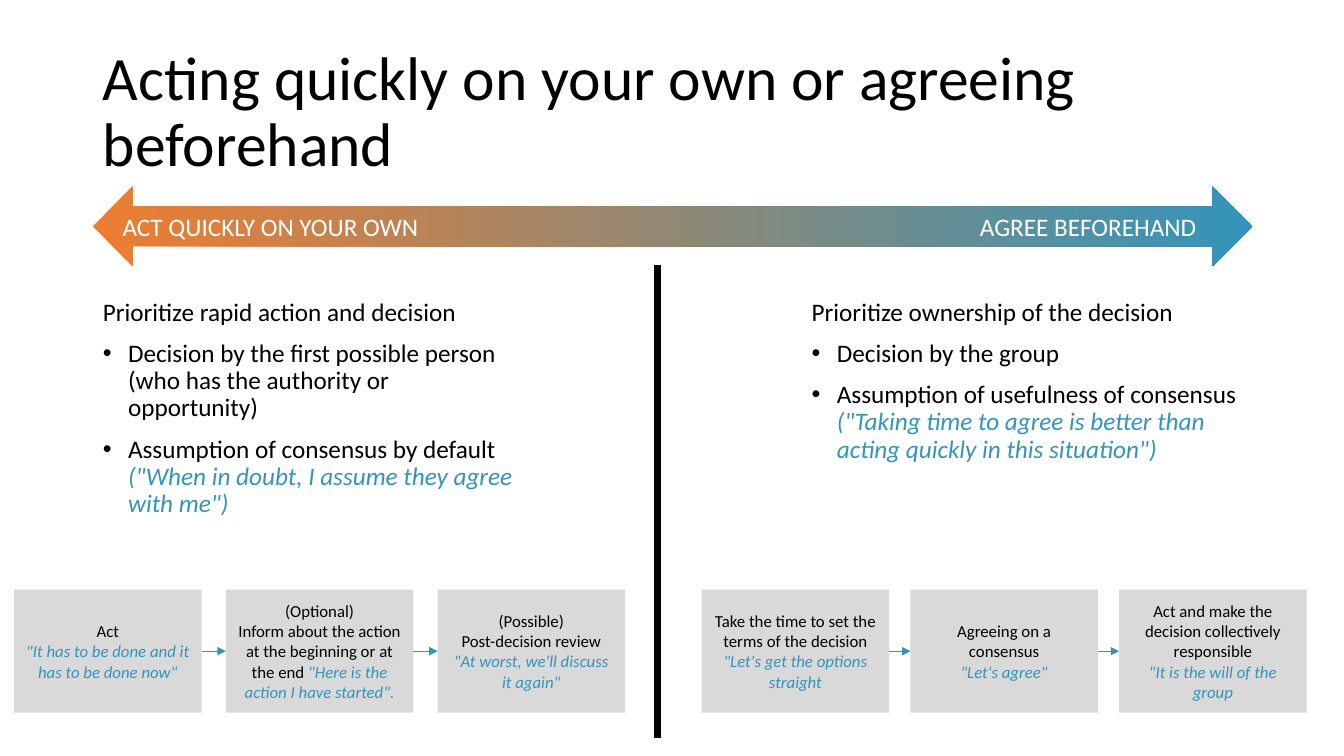
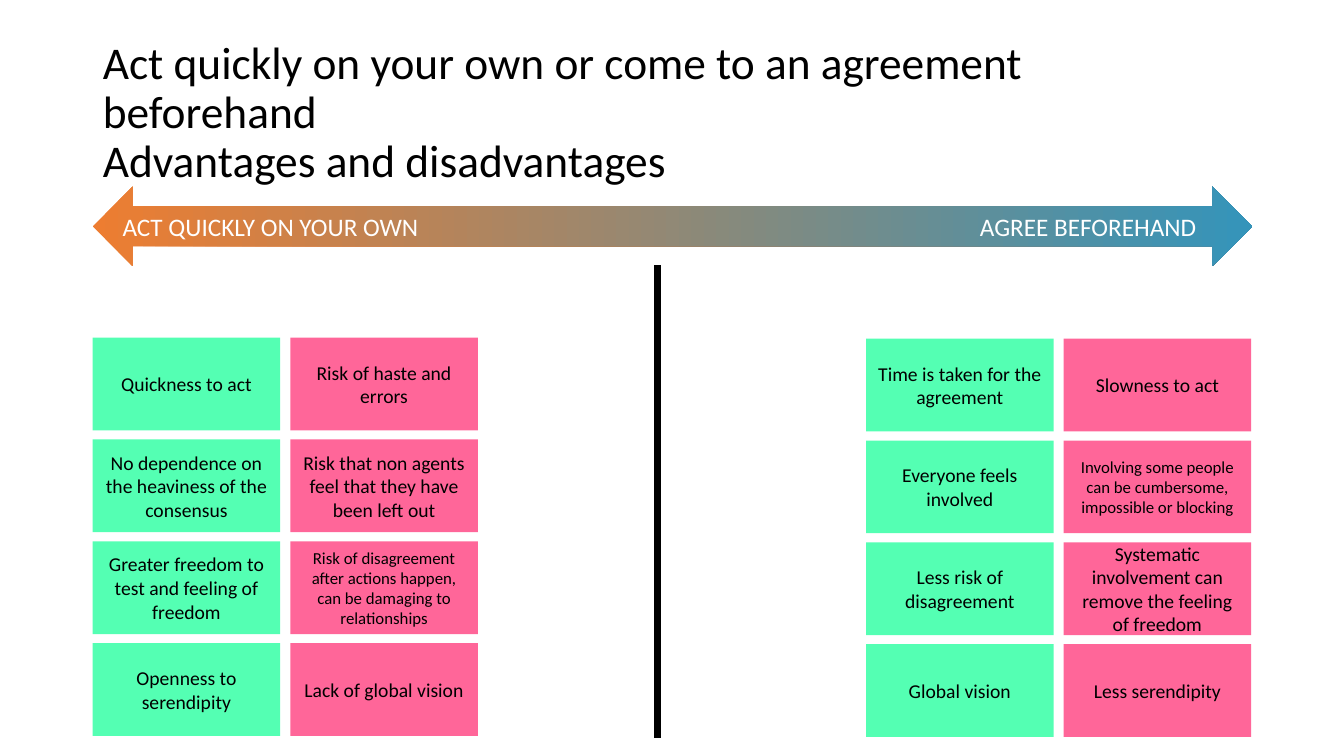
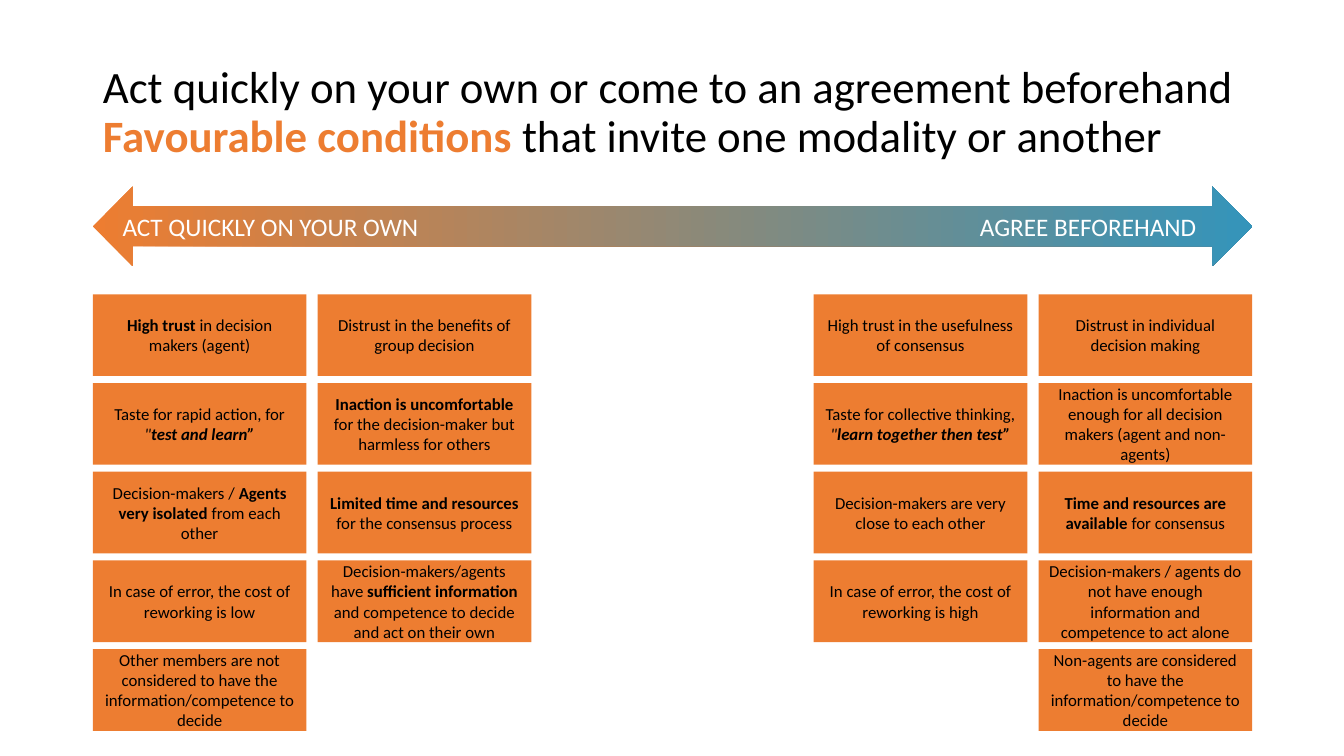
from dataclasses import dataclass
from typing import NamedTuple

from lxml import etree
from pptx import Presentation
from pptx.dml.color import RGBColor
from pptx.enum import shapes as kinds, text as txt
from pptx.oxml.ns import qn
from pptx.util import Inches, Pt

# ---- Shared look ----
FONT = "Calibri"
COLORS = {
    "black": "000000", "white": "FFFFFF", "orange": "ED7D31", "blue": "3494BA",
    "grey": "D9D9D9", "green": "54FFB3", "pink": "FF6699",
}
LOOKS = {
    "plain": {},
    "bold": {"bold": True},
    "italic": {"italic": True},
    "strong quote": {"bold": True, "italic": True},
    "quote": {"italic": True, "color": "blue"},
    "highlight": {"bold": True, "color": "orange"},
}
FRAME = {"word_wrap": True, "auto_size": txt.MSO_AUTO_SIZE.NONE}
MIDDLE = FRAME | {"vertical_anchor": txt.MSO_ANCHOR.MIDDLE}
CENTERED = {"alignment": txt.PP_ALIGN.CENTER}
TITLE_FORMAT = {"alignment": txt.PP_ALIGN.LEFT, "line_spacing": 0.9, "space_before": Pt(0)}
LEFT, WIDTH = 0.92, 11.5
TITLE_ONLY, TWO_CONTENT = 5, 3


class Run(NamedTuple):
    text: str
    look: str = "plain"


@dataclass
class Cell:
    """One box of a grid; each paragraph is a list of runs."""
    paragraphs: list[list[Run]]
    size: float


@dataclass
class Grid:
    left: float
    top: float
    width: float
    height: float
    step_x: float
    step_y: float = 0


def rgb(color: str) -> RGBColor:
    return RGBColor.from_string(COLORS[color])


def set_all(target, values: dict) -> None:
    for name, value in values.items():
        setattr(target, name, value)


def place(shape, left: float, top: float, width: float, height: float) -> None:
    set_all(shape, {"left": Inches(left), "top": Inches(top),
                    "width": Inches(width), "height": Inches(height)})


def write_runs(paragraph, runs: list[Run], size: float, color: str = "black") -> None:
    for text, look in runs:
        for number, line in enumerate(text.split("\n")):
            if number:
                paragraph.add_line_break()
            if line:
                run = paragraph.add_run()
                run.text = line
                values = {"name": FONT, "size": Pt(size), "bold": False} | LOOKS[look]
                run.font.color.rgb = rgb(values.pop("color", color))
                set_all(run.font, values)


def paragraphs_of(frame, count: int) -> list:
    return [frame.paragraphs[0]] + [frame.add_paragraph() for _ in range(count - 1)]


def cell(*paragraphs: str | list[Run], size: float = 12) -> Cell:
    return Cell([[Run(p)] if isinstance(p, str) else p for p in paragraphs], size)


# ---- Shared parts ----
def start_slide(deck, layout: int, title: list[Run], size: float):
    slide = deck.slides.add_slide(deck.slide_layouts[layout])
    heading = slide.shapes.title
    place(heading, LEFT, 0.4, WIDTH, 1.45)
    set_all(heading.text_frame, MIDDLE)
    paragraph = heading.text_frame.paragraphs[0]
    set_all(paragraph, TITLE_FORMAT)
    write_runs(paragraph, title, size)
    draw_spectrum(slide)
    return slide


def draw_spectrum(slide) -> None:
    """Two-headed arrow between the two ways of deciding."""
    spectrum = slide.shapes.add_shape(
        kinds.MSO_SHAPE.LEFT_RIGHT_ARROW,
        Inches(LEFT), Inches(1.85), Inches(WIDTH), Inches(0.79))
    spectrum.shadow.inherit = False
    spectrum.line.fill.background()
    spectrum.fill.gradient()
    spectrum.fill.gradient_angle = 0
    for stop, color in zip(spectrum.fill.gradient_stops, ("orange", "blue")):
        stop.color.rgb = rgb(color)
    set_all(spectrum.text_frame, MIDDLE)
    paragraph = spectrum.text_frame.paragraphs[0]
    paragraph.alignment = txt.PP_ALIGN.LEFT
    tabs = etree.SubElement(paragraph._p.get_or_add_pPr(), qn("a:tabLst"))
    etree.SubElement(tabs, qn("a:tab"), pos=str(Inches(10.65)), algn="r")
    write_runs(paragraph, [Run("ACT QUICKLY ON YOUR OWN\tAGREE BEFOREHAND")], 18, "white")


def draw_line(slide, color: str, width: float, start=(0, 0), end=(0, 0)):
    line = slide.shapes.add_connector(
        kinds.MSO_CONNECTOR.STRAIGHT, *(Inches(value) for value in (*start, *end)))
    line.line.color.rgb = rgb(color)
    line.line.width = Pt(width)
    etree.SubElement(line._element.spPr, qn("a:effectLst"))
    return line


def draw_divider(slide) -> None:
    draw_line(slide, "black", 4.5, (6.52, 2.63), (6.52, 7.32))


def draw_box(slide, grid: Grid, column: int, row: int, content: Cell, fill: str):
    box = slide.shapes.add_shape(
        kinds.MSO_SHAPE.RECTANGLE,
        Inches(grid.left + column * grid.step_x), Inches(grid.top + row * grid.step_y),
        Inches(grid.width), Inches(grid.height))
    box.shadow.inherit = False
    box.fill.solid()
    box.fill.fore_color.rgb = rgb(fill)
    box.line.fill.background()
    set_all(box.text_frame, MIDDLE)
    slots = paragraphs_of(box.text_frame, len(content.paragraphs))
    for paragraph, runs in zip(slots, content.paragraphs):
        set_all(paragraph, CENTERED)
        write_runs(paragraph, runs, content.size)
    return box


def draw_columns(slide, grid: Grid, columns: list[list[Cell | None]], fills: list[str]) -> None:
    for column, (cells, fill) in enumerate(zip(columns, fills)):
        for row, content in enumerate(cells):
            if content:
                draw_box(slide, grid, column, row, content, fill)


def draw_steps(slide, grid: Grid, steps: list[Cell]) -> None:
    boxes = [draw_box(slide, grid, column, 0, step, "grey")
             for column, step in enumerate(steps)]
    for before, after in zip(boxes, boxes[1:]):
        arrow = draw_line(slide, "blue", 0.5)
        arrow.begin_connect(before, 3)
        arrow.end_connect(after, 1)
        etree.SubElement(arrow.line._get_or_add_ln(), qn("a:tailEnd"), type="triangle")


def fill_priorities(body, area: tuple, lead: str, points: list[list[Run]]) -> None:
    """A lead sentence followed by bullets."""
    place(body, *area)
    set_all(body.text_frame, FRAME)
    lines = [[Run(lead)], *points]
    for number, paragraph in enumerate(paragraphs_of(body.text_frame, len(lines))):
        properties = paragraph._p.get_or_add_pPr()
        indent = Inches(0.25) if number else 0
        properties.set("marL", str(indent))
        properties.set("indent", str(-indent))
        if number:
            etree.SubElement(properties, qn("a:buChar"), char="•")
        else:
            etree.SubElement(properties, qn("a:buNone"))
        set_all(paragraph, {"line_spacing": 0.9, "space_before": Pt(10 if number else 0)})
        write_runs(paragraph, lines[number], 18)


# ---- Slides ----
def build_comparison(deck) -> None:
    slide = start_slide(deck, TWO_CONTENT,
                        [Run("Acting quickly on your own or agreeing beforehand")], 44)
    _, rapid_action, ownership = slide.placeholders
    fill_priorities(rapid_action, (LEFT, 2.92, 4.38, 2.45),
                    "Prioritize rapid action and decision", [
        [Run("Decision by the first possible person (who has the authority or opportunity)")],
        [Run("Assumption of consensus by default "),
         Run('("When in doubt, I assume they agree with me")', "quote")],
    ])
    fill_priorities(ownership, (7.95, 2.92, 4.46, 2.29),
                    "Prioritize ownership of the decision", [
        [Run("Decision by the group")],
        [Run("Assumption of usefulness of consensus "),
         Run('("Taking time to agree is better than acting quickly in this situation")',
             "quote")],
    ])
    draw_steps(slide, Grid(0.14, 5.85, 1.86, 1.22, 2.1), [
        cell("Act", [Run('"It has to be done and it has to be done now"', "quote")]),
        cell("(Optional)",
             [Run("Inform about the action at the beginning or at the end "),
              Run('"Here is the action I have started".', "quote")]),
        cell("(Possible)", "Post-decision review",
             [Run('"At worst, we\'ll discuss it again"', "quote")]),
    ])
    draw_steps(slide, Grid(6.96, 5.85, 1.86, 1.22, 2.07), [
        cell("Take the time to set the terms of the decision",
             [Run('"Let\'s get the options straight', "quote")]),
        cell("Agreeing on a consensus", [Run('"Let\'s agree"', "quote")]),
        cell("Act and make the decision collectively responsible",
             [Run('"It is the will of the group', "quote")]),
    ])
    draw_divider(slide)


def build_advantages(deck) -> None:
    slide = start_slide(deck, TITLE_ONLY, [
        Run("Act quickly on your own or come to an agreement beforehand\n"
            "Advantages and disadvantages")], 32.4)
    fills = ["green", "pink"]
    draw_columns(slide, Grid(LEFT, 3.35, 1.86, 0.92, 1.96, 1.01), [
        [cell("Quickness to act", size=14),
         cell("No dependence on the heaviness of the consensus", size=14),
         cell("Greater freedom to test and feeling of freedom", size=14),
         cell("Openness to serendipity", size=14)],
        [cell("Risk of haste and errors", size=14),
         cell("Risk that non agents feel that they have been left out", size=14),
         cell("Risk of disagreement after actions happen, can be damaging to relationships"),
         cell("Lack of global vision", size=14)],
    ], fills)
    draw_columns(slide, Grid(8.59, 3.36, 1.86, 0.92, 1.96, 1.01), [
        [cell("Time is taken for the agreement", size=14),
         cell("Everyone feels involved", size=14),
         cell("Less risk of disagreement", size=14),
         cell("Global vision", size=14)],
        [cell("Slowness to act", size=14),
         cell("Involving some people can be cumbersome, impossible or blocking"),
         cell("Systematic involvement can remove the feeling of freedom", size=14),
         cell("Less serendipity", size=14)],
    ], fills)
    draw_divider(slide)


def build_conditions(deck) -> None:
    slide = start_slide(deck, TITLE_ONLY, [
        Run("Act quickly on your own or come to an agreement beforehand\n"),
        Run("Favourable conditions ", "highlight"),
        Run("that invite one modality or another")], 32)
    fills = ["orange", "orange"]
    draw_columns(slide, Grid(LEFT, 2.92, 2.12, 0.81, 2.23, 0.88), [
        [cell([Run("High trust ", "bold"), Run("in decision makers (agent)")]),
         cell([Run("Taste for rapid action, for "), Run('"', "italic"),
               Run("test and learn”", "strong quote")]),
         cell([Run("Decision-makers / "), Run("Agents very isolated ", "bold"),
               Run("from each other")]),
         cell("In case of error, the cost of reworking is low"),
         cell("Other members are not considered to have the "
              "information/competence to decide")],
        [cell("Distrust in the benefits of group decision"),
         cell([Run("Inaction is uncomfortable ", "bold"),
               Run("for the decision-maker but harmless for others")]),
         cell([Run("Limited time and resources ", "bold"),
               Run("for the consensus process")]),
         cell([Run("Decision-makers/agents have "), Run("sufficient information ", "bold"),
               Run("and competence to decide and act on their own")])],
    ], fills)
    draw_columns(slide, Grid(8.07, 2.92, 2.12, 0.81, 2.23, 0.88), [
        [cell("High trust in the usefulness of consensus"),
         cell([Run("Taste for collective thinking, "), Run('"', "italic"),
               Run("learn together then test”", "strong quote")]),
         cell("Decision-makers are very close to each other"),
         cell("In case of error, the cost of reworking is high")],
        [cell("Distrust in individual decision making"),
         cell("Inaction is uncomfortable enough for all decision makers "
              "(agent and non-agents)"),
         cell([Run("Time and resources are available ", "bold"), Run("for consensus")]),
         cell("Decision-makers / agents do not have enough information "
              "and competence to act alone"),
         cell("Non-agents are considered to have the information/competence to decide")],
    ], fills)


def main() -> None:
    deck = Presentation()
    set_all(deck, {"slide_width": Inches(13.33), "slide_height": Inches(7.5)})
    for build in (build_comparison, build_advantages, build_conditions):
        build(deck)
    deck.save("out.pptx")


if __name__ == "__main__":
    main()
